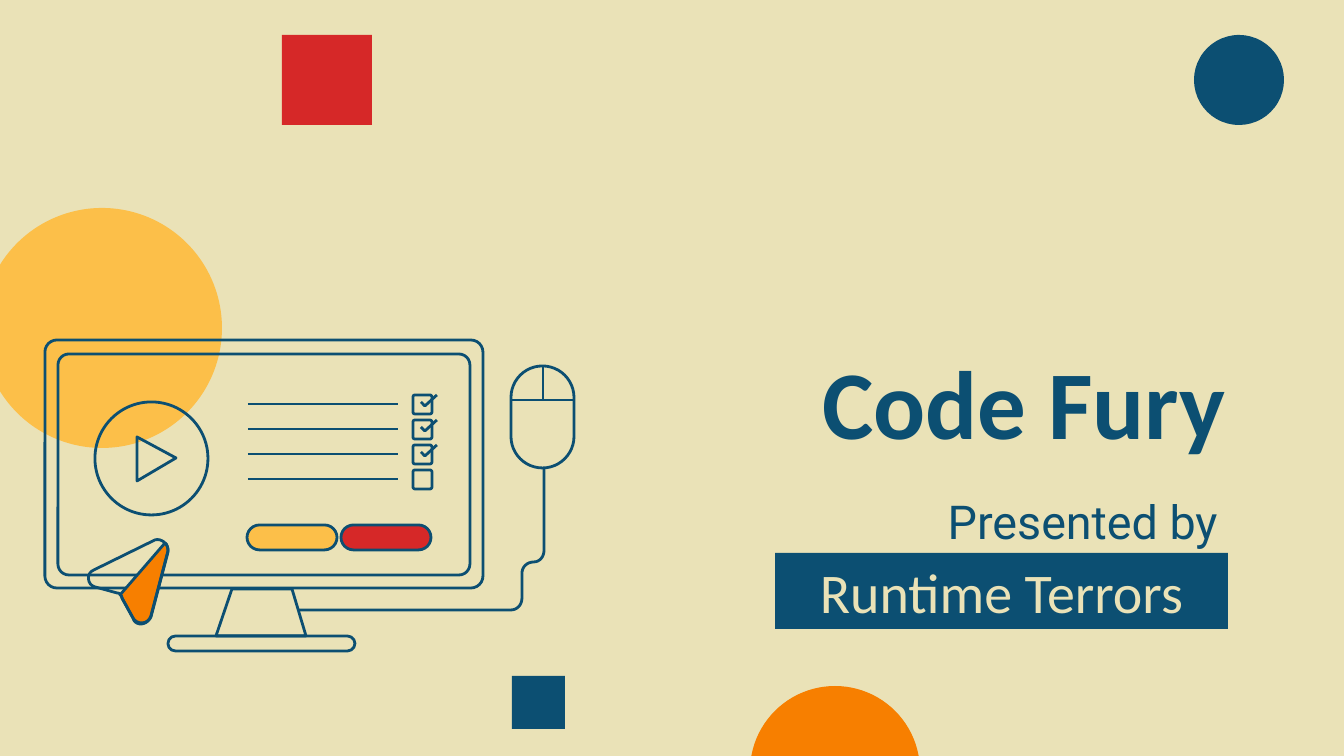
from lxml.etree import SubElement
from pptx import Presentation
from pptx.dml.color import RGBColor
from pptx.enum.shapes import MSO_CONNECTOR, MSO_SHAPE as SHAPE
from pptx.enum.text import MSO_ANCHOR as ANCHOR, PP_ALIGN as ALIGN
from pptx.oxml.ns import qn
from pptx.util import Pt

PX = 9144000 / 1344
CREAM, NAVY, RED, YELLOW, ORANGE = "EAE2B7", "0C4F72", "D62828", "FCBF49", "F77F00"
rgb = RGBColor.from_string


def px(*lengths):
    return [round(length * PX) for length in lengths]


def paint(shape, fill=None, line=None):
    shape.shadow.inherit = False
    if fill:
        shape.fill.solid()
        shape.fill.fore_color.rgb = rgb(fill)
    else:
        shape.fill.background()
    if line:
        shape.line.color.rgb = rgb(line)
        shape.line.width = Pt(1.5)
    else:
        shape.line.fill.background()


prs = Presentation()
prs.slide_width, prs.slide_height = px(1344, 756)
slide = prs.slides.add_slide(prs.slide_layouts[6])
slide.background.fill.solid()
slide.background.fill.fore_color.rgb = rgb(CREAM)

# Background decoration
for kind, left, top, size, color in [
    (SHAPE.OVAL, 750, 686, 170, ORANGE),
    (SHAPE.RECTANGLE, 282, 35, 90, RED),
    (SHAPE.RECTANGLE, 512, 676, 53, NAVY),
    (SHAPE.OVAL, 1194, 35, 90, NAVY),
    (SHAPE.OVAL, -18, 208, 240, YELLOW),
]:
    paint(slide.shapes.add_shape(kind, *px(left, top, size, size)), color)

# Computer: frames, buttons, mouse and base, each with its corner radius
computer = slide.shapes.add_group_shape().shapes
CHECK_ROWS = [395 + 25 * row for row in range(4)]
rounded_parts = [
    (58, 354, 412, 221, 11, None),
    (45, 340, 438, 248, 12, None),
    (247, 525, 90, 25, 12.5, YELLOW),
    (341, 525, 90, 25, 12.5, RED),
    (511, 366, 63, 102, 31.5, None),
    (168, 636, 187, 15, 7.5, None),
] + [(413, top, 19, 19, 2, None) for top in CHECK_ROWS]
for left, top, width, height, radius, fill in rounded_parts:
    part = computer.add_shape(SHAPE.ROUNDED_RECTANGLE, *px(left, top, width, height))
    part.adjustments[0] = radius / min(width, height)
    paint(part, fill, NAVY)
paint(computer.add_shape(SHAPE.OVAL, *px(95, 402, 113, 113)), None, NAVY)

# List lines and the two divisions of the mouse
straight_lines = [(248, top + 9, 398, top + 9) for top in CHECK_ROWS]
straight_lines += [(511, 400, 574, 400), (543, 366, 543, 400)]
for ends in straight_lines:
    rule = computer.add_connector(MSO_CONNECTOR.STRAIGHT, *px(*ends))
    rule.line.color.rgb = rgb(NAVY)
    rule.line.width = Pt(1.5)
    SubElement(rule._element.spPr, qn("a:effectLst"))

# Outlines: a pair is a straight step, six numbers are a cubic curve
stand = [(306, 636), (292, 589), (232, 589), (216, 636)]
play = [(176, 458), (137, 437), (137, 481)]
cursor_wing = [
    (165, 543), (167, 544, 168, 548, 168, 552), (151, 617),
    (149, 621, 145, 624, 141, 624), (137, 624, 134, 622, 133, 618),
    (122, 598), (122, 597, 121, 595, 120, 595),
]
cursor = [
    (94, 570), (155, 540), (161, 538, 169, 544, 168, 551), (151, 616),
    (148, 625, 137, 625, 133, 618), (122, 598), (122, 597, 121, 595, 120, 594),
    (118, 593, 118, 593, 117, 593), (95, 587), (87, 585, 86, 573, 94, 570),
]
cable = [
    (544, 468), (544, 551), (544, 556, 540, 562, 534, 562),
    (527, 562, 522, 567, 522, 573), (522, 598),
    (522, 605, 517, 610, 511, 610), (298, 610),
]
ticks = [[(421, top + 7), (425, top + 11), (437, top)] for top in CHECK_ROWS[:3]]
outlines = [(stand, True, None), (play, True, None), (cursor_wing, True, ORANGE),
            (cursor, True, None), (cable, False, None)]
outlines += [(tick, False, None) for tick in ticks]
STEPS = 8
for outline, closed, fill in outlines:
    points = [outline[0]]
    for step in outline[1:]:
        if len(step) == 2:
            points.append(step)
            continue
        start, one, two, end = points[-1], step[:2], step[2:4], step[4:]
        for t in (i / STEPS for i in range(1, STEPS + 1)):
            u = 1 - t
            points.append(tuple(
                u**3 * a + 3 * u * u * t * b + 3 * u * t * t * c + t**3 * d
                for a, b, c, d in zip(start, one, two, end)))
    builder = computer.build_freeform(*px(*points[0]))
    builder.add_line_segments([px(*point) for point in points[1:]], close=closed)
    paint(builder.convert_to_shape(), fill, NAVY)

# Titles
title = slide.shapes.add_textbox(*px(677, 351, 562, 121))
presented = slide.shapes.add_textbox(*px(574, 489, 668, 63))
team = slide.shapes.add_shape(SHAPE.RECTANGLE, *px(775, 553, 453, 76))
paint(team, NAVY)
for box, text, font, size, bold, color, align, anchor in [
    (title, "Code Fury", "Calibri", 52, True, NAVY, ALIGN.RIGHT, ANCHOR.BOTTOM),
    (presented, "Presented by ", "Roboto", 25, False, NAVY, ALIGN.RIGHT, ANCHOR.MIDDLE),
    (team, "Runtime Terrors", "Calibri", 30, False, CREAM, ALIGN.CENTER, ANCHOR.MIDDLE),
]:
    frame = box.text_frame
    frame.word_wrap = True
    frame.vertical_anchor = anchor
    frame.margin_left = frame.margin_right = frame.margin_top = frame.margin_bottom = px(13)[0]
    paragraph = frame.paragraphs[0]
    paragraph.text = text
    paragraph.alignment = align
    paragraph.font.name = font
    paragraph.font.size = Pt(size)
    paragraph.font.bold = bold
    paragraph.font.color.rgb = rgb(color)

prs.save("out.pptx")
